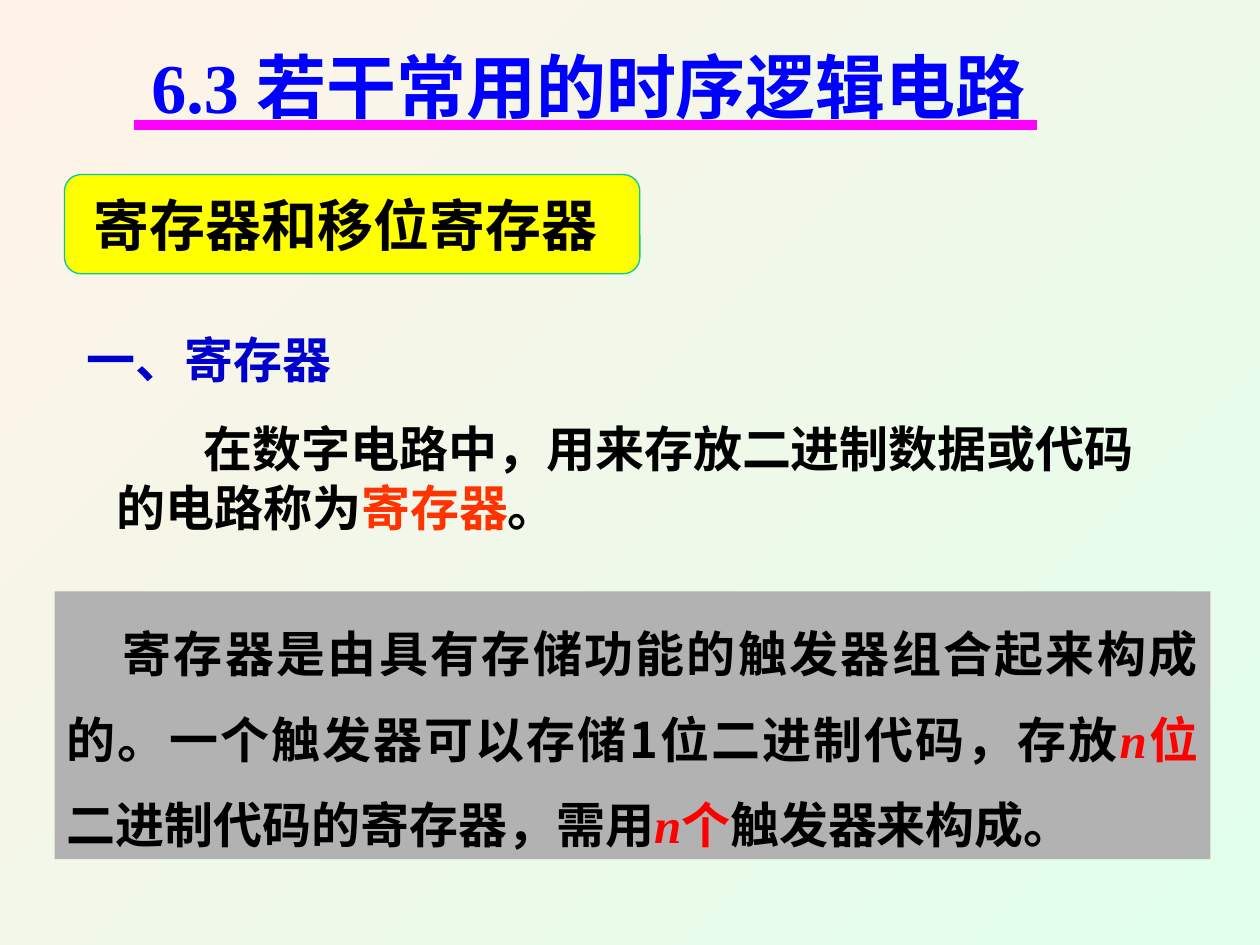
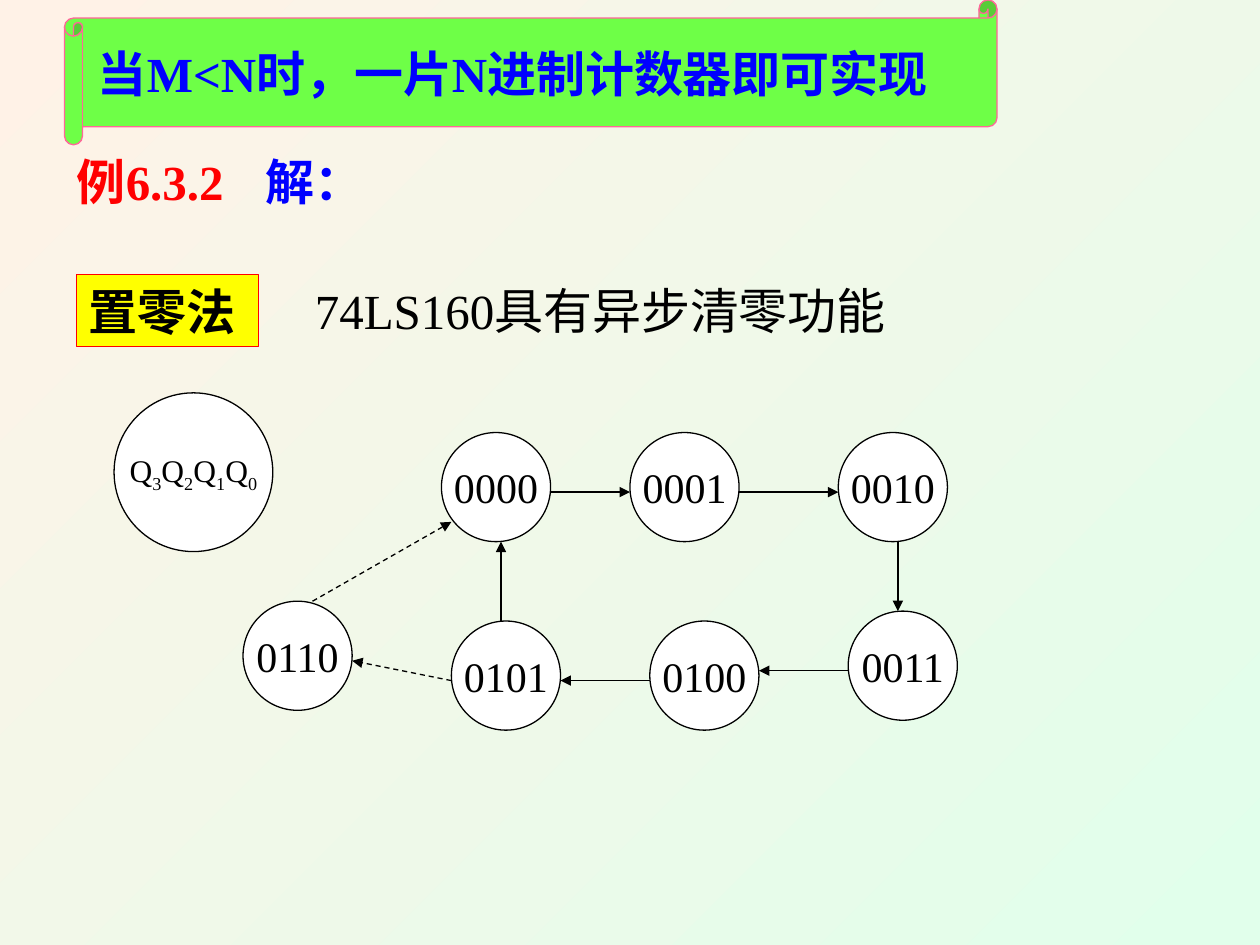
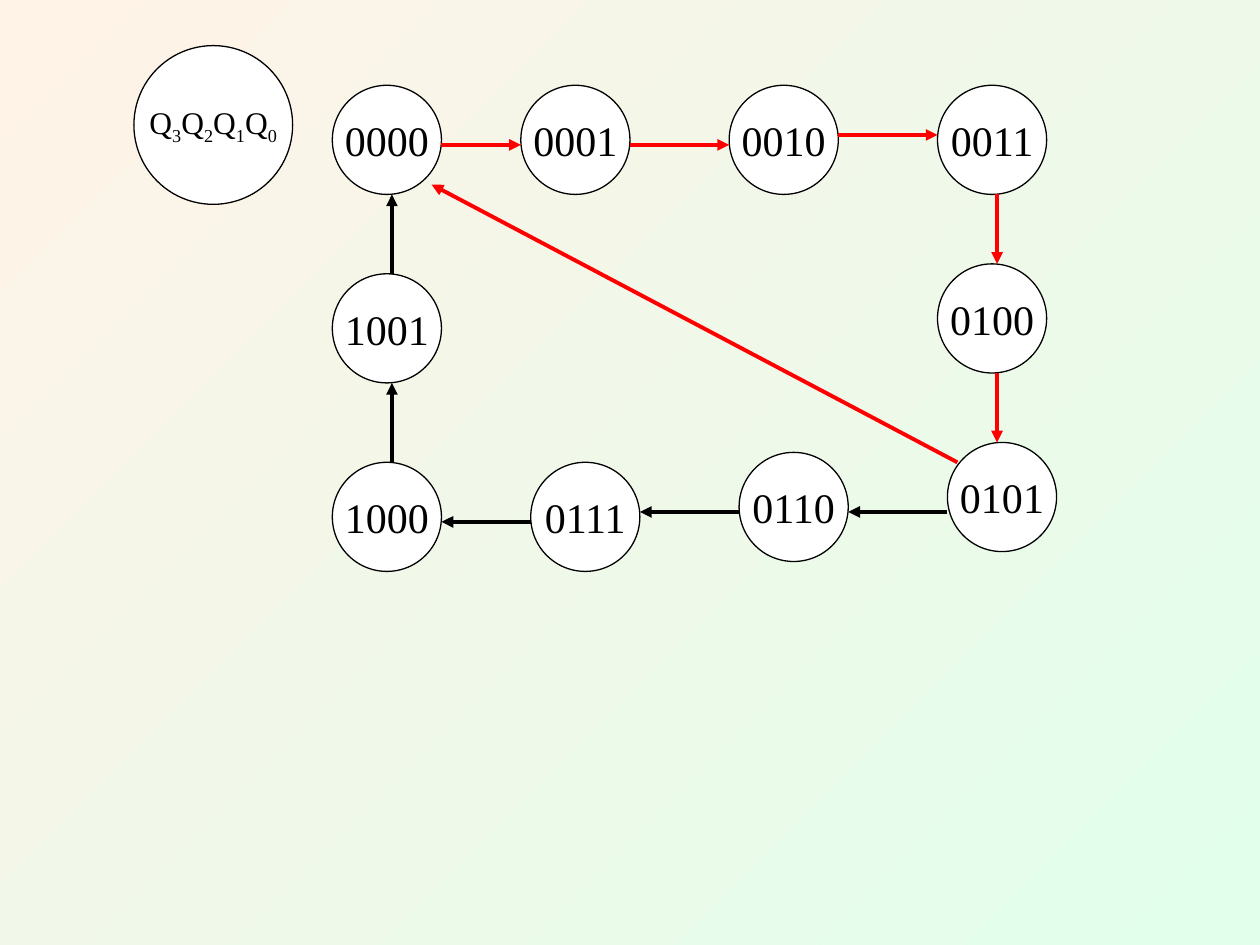
import pptx
import pptx.dml.color
import pptx.enum.dml
import pptx.enum.shapes
import pptx.enum.text
import pptx.oxml.ns
import pptx.util
import lxml.etree

RGBColor = pptx.dml.color.RGBColor
SHAPES = pptx.enum.shapes.MSO_SHAPE
ALIGN = pptx.enum.text.PP_ALIGN
ANCHOR = pptx.enum.text.MSO_ANCHOR
qn = pptx.oxml.ns.qn

BLACK = RGBColor(0x00, 0x00, 0x00)
WHITE = RGBColor(0xFF, 0xFF, 0xFF)
BLUE = RGBColor(0x00, 0x00, 0xFF)
NAVY = RGBColor(0x00, 0x00, 0xCC)
RED = RGBColor(0xFF, 0x00, 0x00)
ORANGE = RGBColor(0xFF, 0x33, 0x00)
MAGENTA = RGBColor(0xFF, 0x00, 0xFF)
YELLOW = RGBColor(0xFF, 0xFF, 0x00)
TEAL = RGBColor(0x00, 0xCC, 0x99)
GREEN = RGBColor(0x6E, 0xFF, 0x47)
PINK = RGBColor(0xFF, 0x66, 0x99)
GRAY = RGBColor(0xB2, 0xB2, 0xB2)
MINT = RGBColor(0xE1, 0xFF, 0xEB)
CREAM = RGBColor(0xFF, 0xF2, 0xE7)

LATIN_FONT = "Times New Roman"
CHINESE_FONT = "Noto Sans CJK SC"
HEADING = {"name": LATIN_FONT, "size": pptx.util.Pt(40), "bold": True}
STRONG = {"name": LATIN_FONT, "size": pptx.util.Pt(28), "bold": True}
PLAIN = STRONG | {"bold": False}
CHINESE = STRONG | {"name": CHINESE_FONT}
VARIABLE = STRONG | {"italic": True}
STATE = PLAIN | {"size": pptx.util.Pt(24)}
REGISTER = PLAIN | {"size": pptx.util.Pt(18)}

presentation = pptx.Presentation()
presentation.slide_width = pptx.util.Inches(10)
presentation.slide_height = pptx.util.Inches(7.5)
CELL = presentation.slide_width / 127
LEFT_MARGIN, TOP_MARGIN = 0.5, 0.6
STATE_SIZE, REGISTER_SIZE = 11, 16

background = presentation.slide_master.background.fill
background.gradient()
background.gradient_angle = 135
for stop, color in zip(background.gradient_stops, (MINT, CREAM)):
    stop.color.rgb = color


def grid(column, row, *size):
    corner = (column + LEFT_MARGIN, row + TOP_MARGIN)
    return [round(cells * CELL) for cells in corner + size]


def write(shape, runs, anchor=ANCHOR.TOP, alignment=ALIGN.LEFT, wrap=True, indent=0):
    frame = shape.text_frame
    settings = {
        "word_wrap": wrap,
        "vertical_anchor": anchor,
        "auto_size": pptx.enum.text.MSO_AUTO_SIZE.NONE,
    }
    for name, value in settings.items():
        setattr(frame, name, value)
    paragraph = frame.paragraphs[0]
    paragraph.alignment = alignment
    if indent:
        paragraph._p.get_or_add_pPr().set("indent", str(round(indent * CELL)))
    for text, color, formats in runs:
        run = paragraph.add_run()
        run.text = text
        for name, value in formats.items():
            setattr(run.font, name, value)
        run.font.color.rgb = color
        east_asian = lxml.etree.SubElement(run._r.get_or_add_rPr(), qn("a:ea"))
        east_asian.set("typeface", CHINESE_FONT)
    return paragraph


title_only, blank = presentation.slide_layouts[5], presentation.slide_layouts[6]
register_slide = presentation.slides.add_slide(title_only)
reset_slide = presentation.slides.add_slide(title_only)
cycle_slide = presentation.slides.add_slide(blank)

boxes = {}
for name, slide, geometry, position, fill, outline in [
    ("topic", register_slide, SHAPES.ROUNDED_RECTANGLE, (6, 17, 58, 10), YELLOW, TEAL),
    ("summary", register_slide, SHAPES.RECTANGLE, (5, 59, 116.5, 27), GRAY, None),
    ("method", reset_slide, SHAPES.RECTANGLE, (7.2, 27.1, 18.4, 7.2), YELLOW, RED),
    ("scroll", reset_slide, SHAPES.HORIZONTAL_SCROLL, (6, -0.6, 94, 14.6), GREEN, PINK),
]:
    box = slide.shapes.add_shape(geometry, *grid(*position))
    box.shadow.inherit = False
    box.fill.solid()
    box.fill.fore_color.rgb = fill
    if outline:
        box.line.color.rgb = outline
        box.line.width = pptx.util.Pt(0.75)
    else:
        box.line.fill.background()
    boxes[name] = box

for slide, position, anchor, text, color, formats in [
    (register_slide, (13.5, 3.1, 95.5, 9.8), ANCHOR.TOP,
     "6.3 若干常用的时序逻辑电路", BLUE, HEADING),
    (reset_slide, (8.1, -0.6, 91, 14.6), ANCHOR.MIDDLE,
     "当M<N时，一片N进制计数器即可实现", BLUE, STRONG),
]:
    title = slide.shapes.title
    title.left, title.top, title.width, title.height = grid(*position)
    write(title, [(text, color, formats)], anchor)
    slide.shapes._spTree.append(title._element)

for name, text in [("topic", "寄存器和移位寄存器 "), ("method", "置零法 ")]:
    size = pptx.util.Pt(32 if name == "topic" else 28)
    write(boxes[name], [(text, BLACK, STRONG | {"size": size})],
          ANCHOR.MIDDLE, ALIGN.CENTER, wrap=False)

summary = write(boxes["summary"], [
    ("寄存器是由具有存储功能的触发器组合起来构成的。一个触发器可以存储1位二进制代码，存放",
     BLACK, CHINESE),
    ("n", RED, VARIABLE),
    ("位", RED, CHINESE),
    ("二进制代码的寄存器，需用", BLACK, CHINESE),
    ("n", RED, VARIABLE),
    ("个", RED, CHINESE),
    ("触发器来构成。", BLACK, CHINESE),
], alignment=ALIGN.JUSTIFY, indent=5.6)
summary.line_spacing = 1.45

definition = [
    ("在数字电路中，用来存放二进制数据或代码的电路称为", BLACK, STRONG),
    ("寄存器", ORANGE, STRONG),
    ("。", BLACK, STRONG),
]
for slide, position, runs, indent in [
    (register_slide, (7, 32, 30, 7.2), [("一、寄存器", NAVY, STRONG)], 0),
    (register_slide, (10, 41, 107, 13.2), definition, 8.8),
    (reset_slide, (6, 14, 32, 7.2), [("例6.3.2", RED, STRONG)], 0),
    (reset_slide, (25, 14, 13, 7.2), [("解：", BLUE, STRONG)], 0),
    (reset_slide, (30, 27.1, 66, 7.2), [("74LS160具有异步清零功能", BLACK, PLAIN)], 0),
]:
    write(slide.shapes.add_textbox(*grid(*position)), runs, indent=indent)

register_runs = [(text, BLACK, REGISTER) for text in "Q3Q2Q1Q0"]
reset_states = {
    "0000": (44, 43), "0001": (63, 43), "0010": (84, 43), "0011": (85, 61),
    "0100": (65, 62), "0101": (45, 62), "0110": (24, 60),
}
cycle_states = {
    "0000": (33, 8), "0001": (52, 8), "0010": (73, 8), "0011": (94, 8),
    "0100": (94, 26), "0101": (95, 44), "0110": (74, 45), "0111": (53, 46),
    "1000": (33, 46), "1001": (33, 27),
}
for slide, register_place, states in [
    (reset_slide, (11, 39), reset_states),
    (cycle_slide, (13, 4), cycle_states),
]:
    circles = [(register_place, REGISTER_SIZE, register_runs)]
    circles += [(place, STATE_SIZE, [(code, BLACK, STATE)]) for code, place in states.items()]
    for place, size, runs in circles:
        circle = slide.shapes.add_shape(SHAPES.OVAL, *grid(*place, size, size))
        circle.shadow.inherit = False
        circle.fill.solid()
        circle.fill.fore_color.rgb = WHITE
        circle.line.color.rgb = BLACK
        circle.line.width = pptx.util.Pt(0.75)
        paragraph = write(circle, runs, ANCHOR.MIDDLE, ALIGN.CENTER, wrap=False)
        for subscript in paragraph.runs[1::2]:
            subscript._r.get_or_add_rPr().set("baseline", "-25000")

underline = [((13, 12), (104, 12))]
first_step = [((55, 49), (63, 49))]
reset_steps = [
    ((74, 49), (84, 49)), ((90, 54), (90, 61)), ((85, 67), (76, 67)),
    ((65, 68), (56, 68)), ((50, 62), (50, 54)),
]
transient_steps = [((45, 68), (35, 66)), ((31, 60), (45, 52))]
used_steps = [
    ((44, 14), (52, 14)), ((63, 14), (73, 14)), ((84, 13), (94, 13)),
    ((100, 19), (100, 26)), ((100, 37), (100, 44)), ((96, 46), (43, 18)),
]
skipped_steps = [
    ((95, 51), (85, 51)), ((74, 51), (64, 51)), ((53, 52), (44, 52)),
    ((39, 46), (39, 38)), ((39, 27), (39, 19)),
]
for slide, steps, color, width, arrow, dashed in [
    (register_slide, underline, MAGENTA, 6, False, False),
    (reset_slide, first_step, BLACK, 1.5, True, False),
    (reset_slide, reset_steps, BLACK, 0.75, True, False),
    (reset_slide, transient_steps, BLACK, 0.75, True, True),
    (cycle_slide, used_steps, RED, 2.25, True, False),
    (cycle_slide, skipped_steps, BLACK, 2.25, True, False),
]:
    for start, end in steps:
        connector = slide.shapes.add_connector(
            pptx.enum.shapes.MSO_CONNECTOR.STRAIGHT, *grid(*start), *grid(*end))
        connector.line.color.rgb = color
        connector.line.width = pptx.util.Pt(width)
        if dashed:
            connector.line.dash_style = pptx.enum.dml.MSO_LINE.DASH
        if arrow:
            head = lxml.etree.SubElement(connector.line._get_or_add_ln(), qn("a:tailEnd"))
            head.set("type", "triangle")
        lxml.etree.SubElement(connector._element.spPr, qn("a:effectLst"))

presentation.save("out.pptx")
